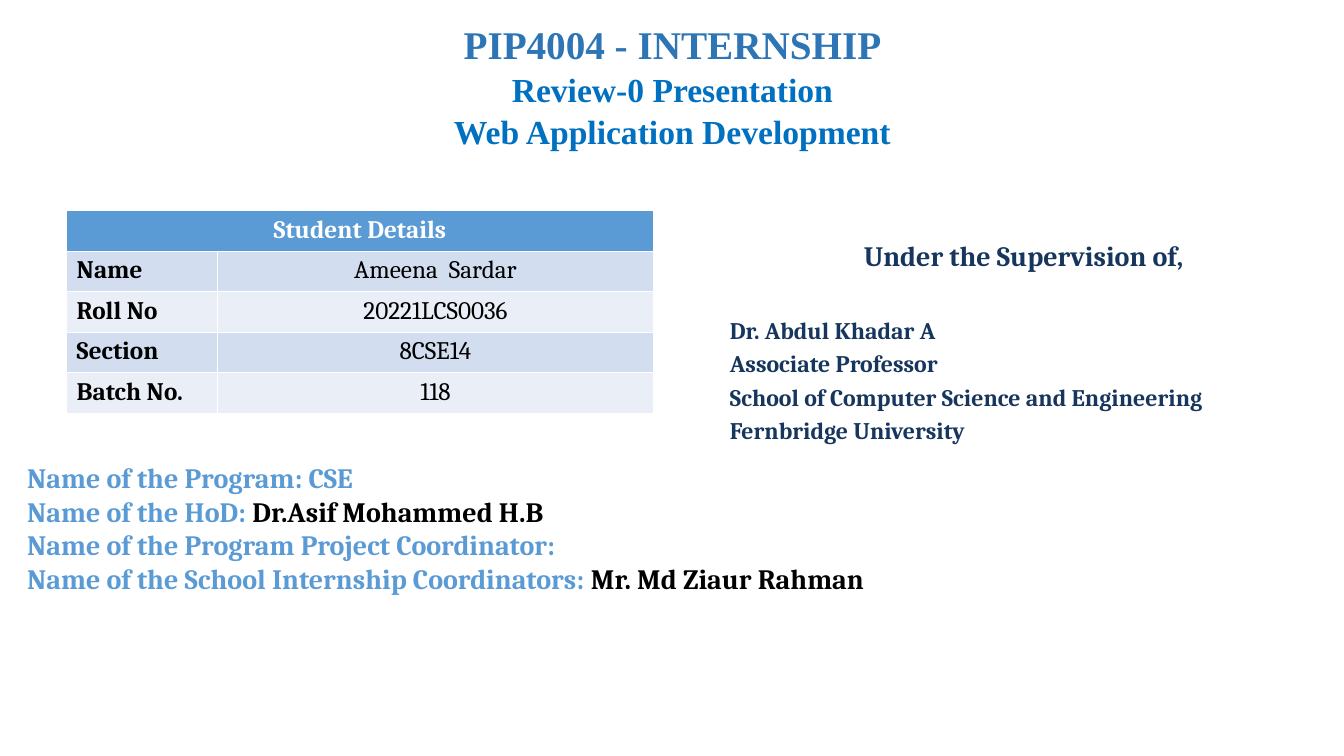
from lxml.etree import SubElement
from pptx import Presentation
from pptx.dml.color import RGBColor
from pptx.enum.text import MSO_ANCHOR, MSO_AUTO_SIZE, PP_ALIGN
from pptx.oxml.ns import qn
from pptx.util import Cm, Pt

COLORS = {
    "title": "2E75B6",
    "subtitle": "0070C0",
    "navy": "17365D",
    "label": "5B9BD5",
    "black": "000000",
    "white": "FFFFFF",
    "band_dark": "D2DEEF",
    "band_light": "EAEFF7",
}
STUDENT = [
    ("Name", "Ameena  Sardar"),
    ("Roll No", "20221LCS0036"),
    ("Section", "8CSE14"),
    ("Batch No.", "118"),
]
SUPERVISOR = [
    "Dr. Abdul Khadar A",
    "Associate Professor",
    "School of Computer Science and Engineering",
    "Fernbridge University",
]
PROGRAM = [
    ("Name of the Program: CSE", ""),
    ("Name of the HoD: ", "Dr.Asif Mohammed H.B"),
    ("Name of the Program Project Coordinator:", ""),
    ("Name of the School Internship Coordinators: ", "Mr. Md Ziaur Rahman"),
]


class SlideBuilder:
    body_font = "Cambria"
    title_font = "Times New Roman"

    def __init__(self, slide):
        self.slide = slide

    def add_run(self, paragraph, text, size, color, bold=True, font=body_font):
        run = paragraph.add_run()
        run.text = text
        run.font.name = font
        run.font.size = Pt(size)
        run.font.bold = bold
        run.font.color.rgb = RGBColor.from_string(COLORS[color])

    def place(self, shape, left, top, width, height):
        shape.left, shape.top = Cm(left), Cm(top)
        shape.width, shape.height = Cm(width), Cm(height)
        frame = shape.text_frame
        frame.word_wrap = True
        frame.auto_size = MSO_AUTO_SIZE.NONE
        frame.vertical_anchor = MSO_ANCHOR.TOP
        return frame

    def title(self, heading, subtitles, box):
        paragraph = self.place(self.slide.shapes.title, *box).paragraphs[0]
        paragraph.alignment = PP_ALIGN.CENTER
        paragraph.line_spacing = 1.03
        self.add_run(paragraph, heading, 28, "title", font=self.title_font)
        for subtitle in subtitles:
            paragraph.add_line_break()
            self.add_run(paragraph, subtitle, 24, "subtitle", font=self.title_font)

    def body(self, index, lines, box):
        frame = self.place(self.slide.placeholders[index], *box)
        for number, (runs, alignment, space_before) in enumerate(lines):
            paragraph = frame.add_paragraph() if number else frame.paragraphs[0]
            paragraph.alignment = alignment
            paragraph.line_spacing = 1.0
            paragraph.space_before = Pt(space_before)
            properties = paragraph._p.get_or_add_pPr()
            properties.set("marL", "0")
            properties.set("indent", "0")
            SubElement(properties, qn("a:buNone"))
            for text, size, color in runs:
                self.add_run(paragraph, text, size, color)

    def cell(self, cell, text, fill, color="black", bold=True, alignment=PP_ALIGN.CENTER):
        cell.fill.solid()
        cell.fill.fore_color.rgb = RGBColor.from_string(COLORS[fill])
        paragraph = cell.text_frame.paragraphs[0]
        paragraph.alignment = alignment
        self.add_run(paragraph, text, 18, color, bold)

    def table(self, heading, rows, left, top, widths, row_height):
        count = len(rows) + 1
        table = self.slide.shapes.add_table(
            count, len(widths), Cm(left), Cm(top), Cm(sum(widths)), Cm(row_height * count)
        ).table
        for column, width in zip(table.columns, widths):
            column.width = Cm(width)
        for row in table.rows:
            row.height = Cm(row_height)
        table.cell(0, 0).merge(table.cell(0, len(widths) - 1))
        self.cell(table.cell(0, 0), heading, "label", "white")
        for number, (label, value) in enumerate(rows, 1):
            fill = "band_dark" if number % 2 else "band_light"
            self.cell(table.cell(number, 0), label, fill, alignment=PP_ALIGN.LEFT)
            self.cell(table.cell(number, 1), value, fill, bold=False)


def main():
    presentation = Presentation()
    presentation.slide_width, presentation.slide_height = Cm(33.87), Cm(19.05)
    two_content = presentation.slide_layouts[3]
    builder = SlideBuilder(presentation.slides.add_slide(two_content))

    supervision = [([("Under the Supervision of,", 20, "navy")], PP_ALIGN.CENTER, 0)]
    for number, text in enumerate(SUPERVISOR):
        space_before = 3.4 if number else 31.4
        supervision.append(([(text, 17, "navy")], PP_ALIGN.LEFT, space_before))
    builder.body(1, supervision, (18.14, 5.87, 15.32, 5.61))

    program = []
    for label, person in PROGRAM:
        runs = [(label, 20, "label")]
        if person:
            runs.append((person, 20, "black"))
        program.append((runs, PP_ALIGN.LEFT, 0))
    builder.body(2, program, (0.43, 11.48, 33.4, 4.34))

    builder.title(
        "PIP4004 - INTERNSHIP",
        ["Review-0 Presentation", "Web Application Development"],
        (2.34, 0.36, 29.21, 4.34),
    )
    builder.table("Student Details", STUDENT, 1.68, 5.31, (3.81, 10.97), 1.02)
    presentation.save("out.pptx")


if __name__ == "__main__":
    main()
